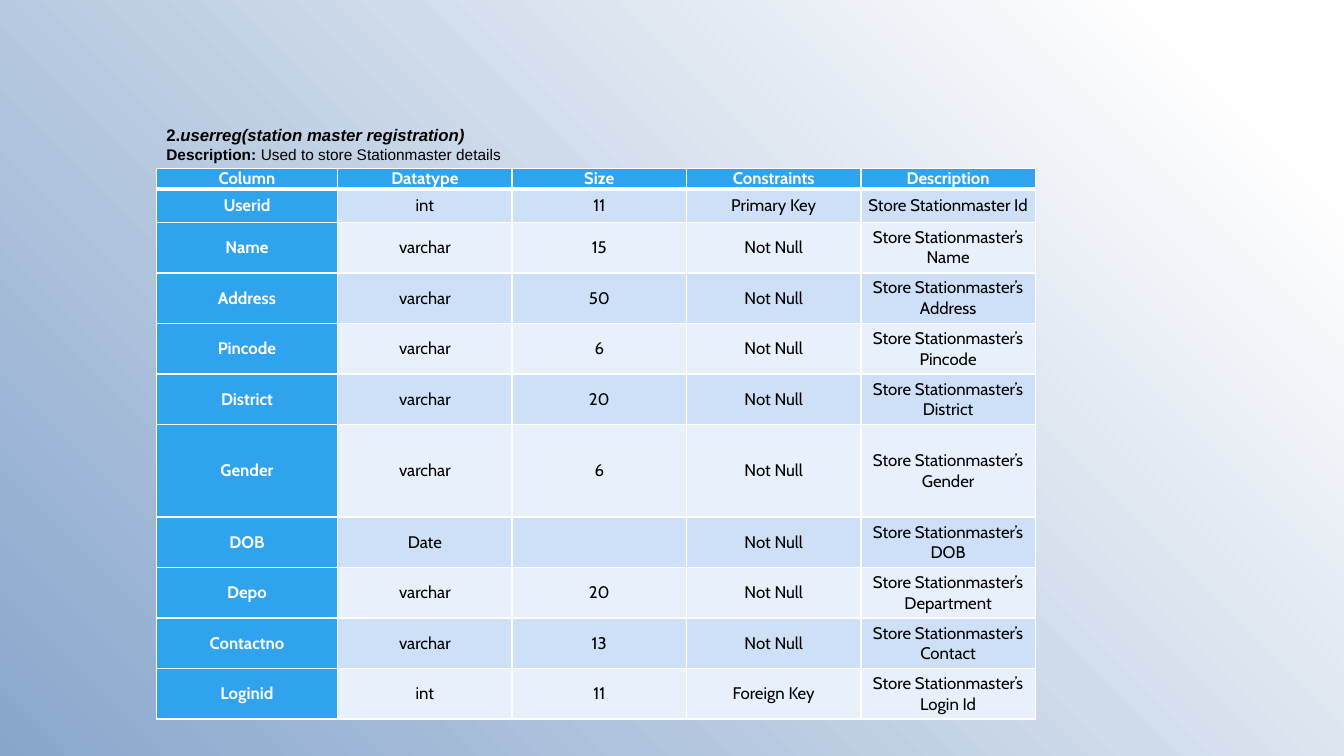
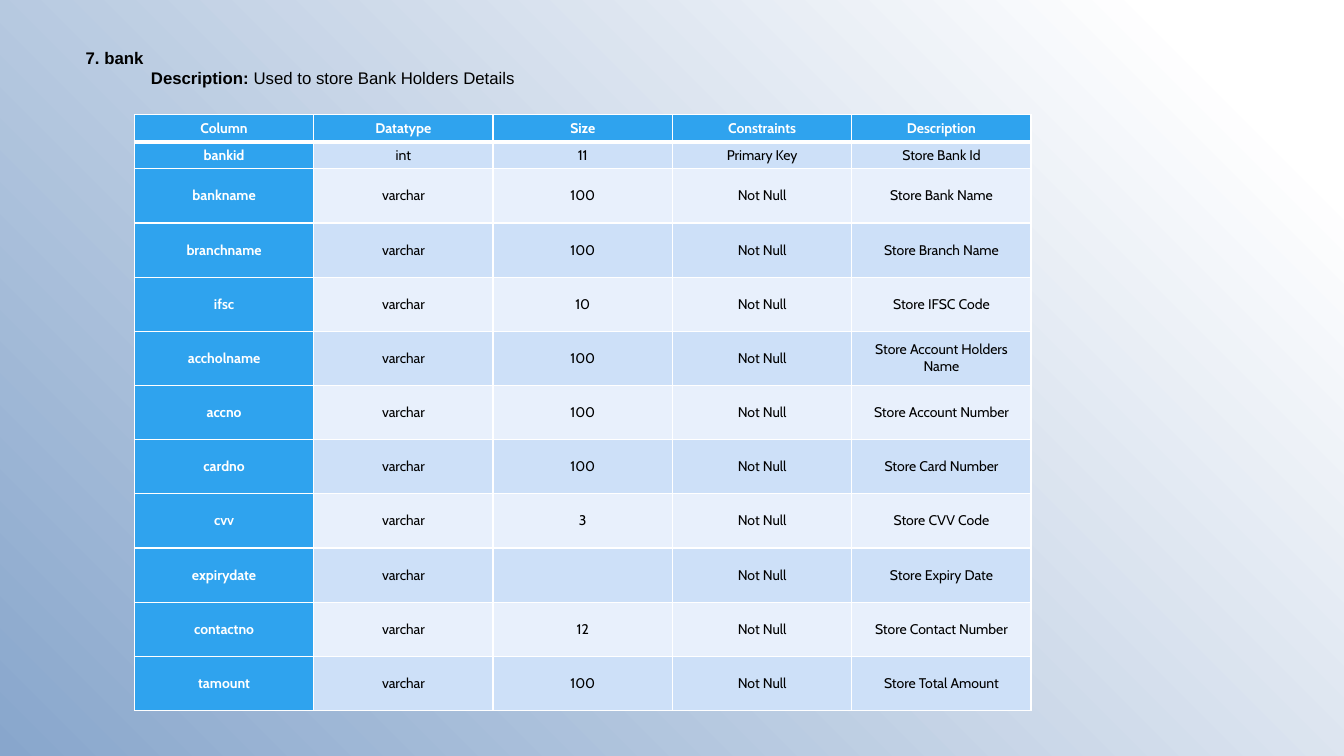
"""Builds two data-dictionary slides, each with a heading and a column table."""
from dataclasses import dataclass

from lxml import etree
from pptx import Presentation
from pptx.dml.color import RGBColor
from pptx.enum.text import MSO_ANCHOR, MSO_AUTO_SIZE, PP_ALIGN
from pptx.oxml.ns import qn
from pptx.util import Pt

LEFT, CENTER = PP_ALIGN.LEFT, PP_ALIGN.CENTER
MIDDLE = MSO_ANCHOR.MIDDLE
NO_AUTOFIT = MSO_AUTO_SIZE.NONE
TITLE_ONLY = 5


@dataclass(frozen=True)
class Theme:
    """Colours, fonts and sizes shared by the slides."""
    white: str = "FFFFFF"
    black: str = "000000"
    haze: str = "88A6CC"
    accent: str = "2FA3EE"
    bands: tuple = ("CDE0F8", "E8F0FC")
    heading_font: str = "Arial"
    table_font: str = "Cabin"
    heading_size: float = 12
    line_height: float = 14
    text_width: float = 420
    thin: float = 1
    thick: float = 3


HEADER = ("Column", "Datatype", "Size", "Constraints", "Description")

STATION_MASTER_FIELDS = [
    ("Userid", "int", "11", "Primary Key", "Store Stationmaster Id"),
    ("Name", "varchar", "15", "Not Null", "Store Stationmaster’s Name"),
    ("Address", "varchar", "50", "Not Null", "Store Stationmaster’s Address"),
    ("Pincode", "varchar", "6", "Not Null", "Store Stationmaster’s Pincode"),
    ("District", "varchar", "20", "Not Null", "Store Stationmaster’s District"),
    ("Gender", "varchar", "6", "Not Null", "Store Stationmaster’s Gender"),
    ("DOB", "Date", "", "Not Null", "Store Stationmaster’s DOB"),
    ("Depo", "varchar", "20", "Not Null", "Store Stationmaster’s Department"),
    ("Contactno", "varchar", "13", "Not Null", "Store Stationmaster’s Contact"),
    ("Loginid", "int", "11", "Foreign Key", "Store Stationmaster’s Login Id"),
]

BANK_FIELDS = [
    ("bankid", "int", "11", "Primary Key", "Store Bank Id"),
    ("bankname", "varchar", "100", "Not Null", "Store Bank Name"),
    ("branchname", "varchar", "100", "Not Null", "Store Branch Name"),
    ("ifsc", "varchar", "10", "Not Null", "Store IFSC Code"),
    ("accholname", "varchar", "100", "Not Null", "Store Account Holders Name"),
    ("accno", "varchar", "100", "Not Null", "Store Account Number"),
    ("cardno", "varchar", "100", "Not Null", "Store Card Number"),
    ("cvv", "varchar", "3", "Not Null", "Store CVV Code"),
    ("expirydate", "varchar", "", "Not Null", "Store Expiry Date"),
    ("contactno", "varchar", "12", "Not Null", "Store Contact Number"),
    ("tamount", "varchar", "100", "Not Null", "Store Total Amount"),
]


class Deck:
    """Holds the presentation, its theme and the current slide."""

    def __init__(self, theme):
        self.theme = theme
        self.prs = Presentation()
        self.prs.slide_width, self.prs.slide_height = Pt(960), Pt(540)
        self.slide = None
        self.paint_background()

    def paint_background(self):
        """Give the slide master the diagonal gradient."""
        fill = self.prs.slide_master.background.fill
        fill.gradient()
        fill.gradient_angle = 225
        stops = ((0.09, self.theme.white), (1, self.theme.haze))
        for stop, (position, color) in zip(fill.gradient_stops, stops):
            stop.position = position
            stop.color.rgb = RGBColor.from_string(color)

    def add_slide(self):
        """Start a title-only slide."""
        layout = self.prs.slide_layouts[TITLE_ONLY]
        self.slide = self.prs.slides.add_slide(layout)

    def style(self, paragraph, font, size, color, bold=None):
        """Set the font that all runs of a paragraph share."""
        paragraph.font.name = font
        paragraph.font.size = Pt(size)
        paragraph.font.color.rgb = RGBColor.from_string(color)
        paragraph.font.bold = bold

    def write_line(self, frame, runs, size):
        """Fill a frame with one line of (text, bold, italic) runs."""
        frame.margin_left = frame.margin_right = 0
        frame.margin_top = frame.margin_bottom = 0
        frame.word_wrap = True
        frame.auto_size = NO_AUTOFIT
        frame.vertical_anchor = MIDDLE
        line = frame.paragraphs[0]
        line.alignment = LEFT
        self.style(line, self.theme.heading_font, size, self.theme.black)
        for text, bold, italic in runs:
            run = line.add_run()
            run.text = text
            run.font.bold, run.font.italic = bold, italic

    def heading(self, left, top, runs):
        """Place the slide title."""
        title = self.slide.shapes.title
        title.left, title.top = Pt(left), Pt(top)
        title.width = Pt(self.theme.text_width)
        title.height = Pt(self.theme.line_height)
        self.write_line(title.text_frame, runs, self.theme.heading_size)

    def description(self, left, top, text, size):
        """Place the labelled description line."""
        box = self.slide.shapes.add_textbox(
            Pt(left), Pt(top), Pt(self.theme.text_width), Pt(self.theme.line_height))
        runs = [("Description: ", True, False), (text, False, False)]
        self.write_line(box.text_frame, runs, size)

    def border(self, cell, side, width):
        """Draw one white cell edge."""
        line = etree.SubElement(cell._tc.get_or_add_tcPr(), qn(f"a:ln{side}"),
                                w=str(Pt(width)))
        fill = etree.SubElement(line, qn("a:solidFill"))
        etree.SubElement(fill, qn("a:srgbClr"), val=self.theme.white)

    def cell(self, cell, text, row, column, size, inset):
        """Format one cell by its place in the table."""
        theme = self.theme
        edges = {"L": theme.thin, "R": theme.thin,
                 "T": theme.thick if row == 1 else theme.thin,
                 "B": theme.thick if row == 0 else theme.thin}
        for side, width in edges.items():
            self.border(cell, side, width)
        label = row == 0 or column == 0
        color = theme.accent if label else theme.bands[(row - 1) % 2]
        cell.fill.solid()
        cell.fill.fore_color.rgb = RGBColor.from_string(color)
        cell.margin_left = cell.margin_right = Pt(inset)
        cell.margin_top = cell.margin_bottom = 0
        cell.vertical_anchor = MIDDLE
        cell.text = text
        paragraph = cell.text_frame.paragraphs[0]
        paragraph.alignment = CENTER
        self.style(paragraph, theme.table_font, size,
                   theme.white if label else theme.black, label)

    def field_table(self, left, top, widths, heights, fields, size, inset):
        """Place a table of database fields under the shared header."""
        rows = [HEADER, *fields]
        table = self.slide.shapes.add_table(
            len(rows), len(HEADER), Pt(left), Pt(top),
            Pt(sum(widths)), Pt(sum(heights))).table
        table.first_col = True
        for column, width in zip(table.columns, widths):
            column.width = Pt(width)
        for row, height in zip(table.rows, heights):
            row.height = Pt(height)
        for r, values in enumerate(rows):
            for c, value in enumerate(values):
                self.cell(table.cell(r, c), value, r, c, size, inset)


def main():
    """Build and save both slides."""
    deck = Deck(Theme())

    deck.add_slide()
    deck.heading(118.8, 89, [("2.", True, False),
                             ("userreg(station master registration)", True, True)])
    deck.description(118.8, 103, "Used to store Stationmaster details", 11)
    heights = [14.4, 24] + [36.1] * 4 + [66.1] + [36.1] * 4
    deck.field_table(111.6, 120.2, [129.6] + [124.6] * 4, heights,
                     STATION_MASTER_FIELDS, size=12, inset=3.6)

    deck.add_slide()
    deck.heading(61.2, 34.5, [("7. bank", True, False)])
    deck.description(107.8, 48.5, "Used to store Bank Holders Details", 12)
    deck.field_table(96, 81.8, [128.1] * 5, [19.4] * 2 + [38.7] * 10,
                     BANK_FIELDS, size=10, inset=4.3)

    deck.prs.save("out.pptx")


if __name__ == "__main__":
    main()
